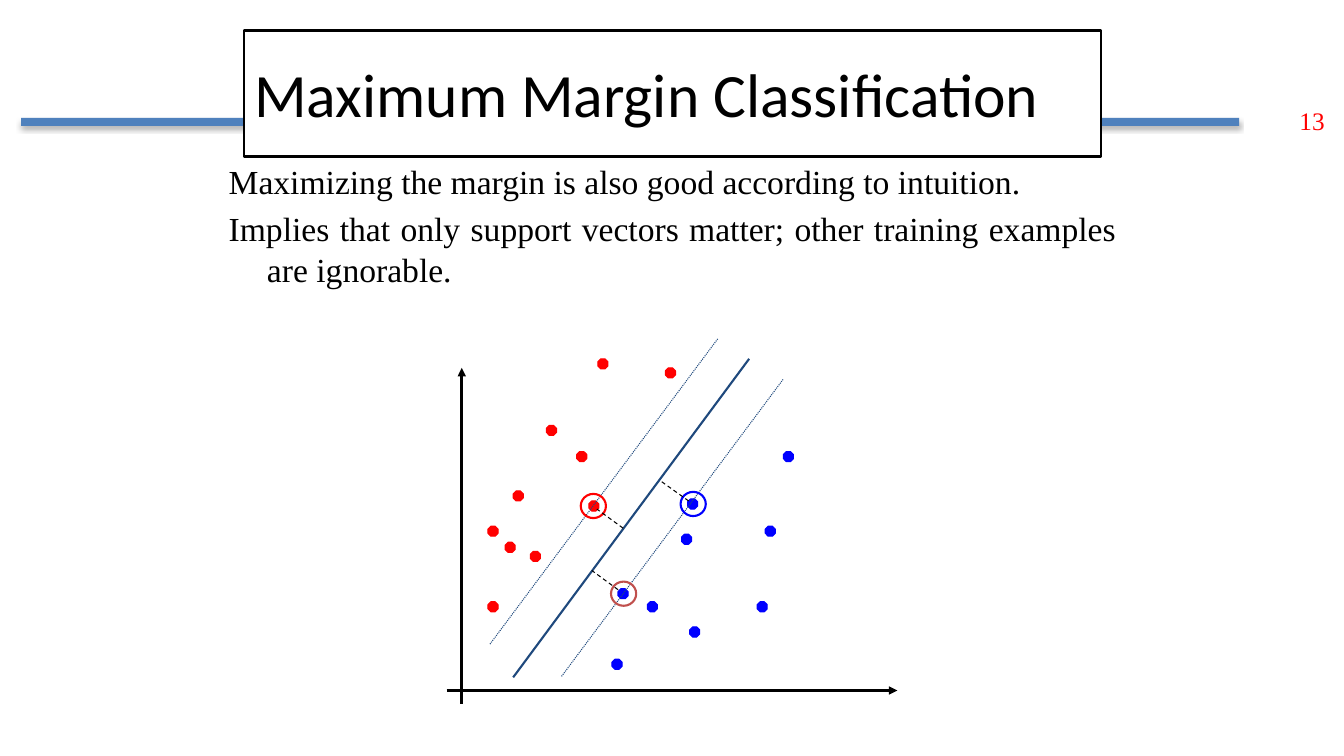
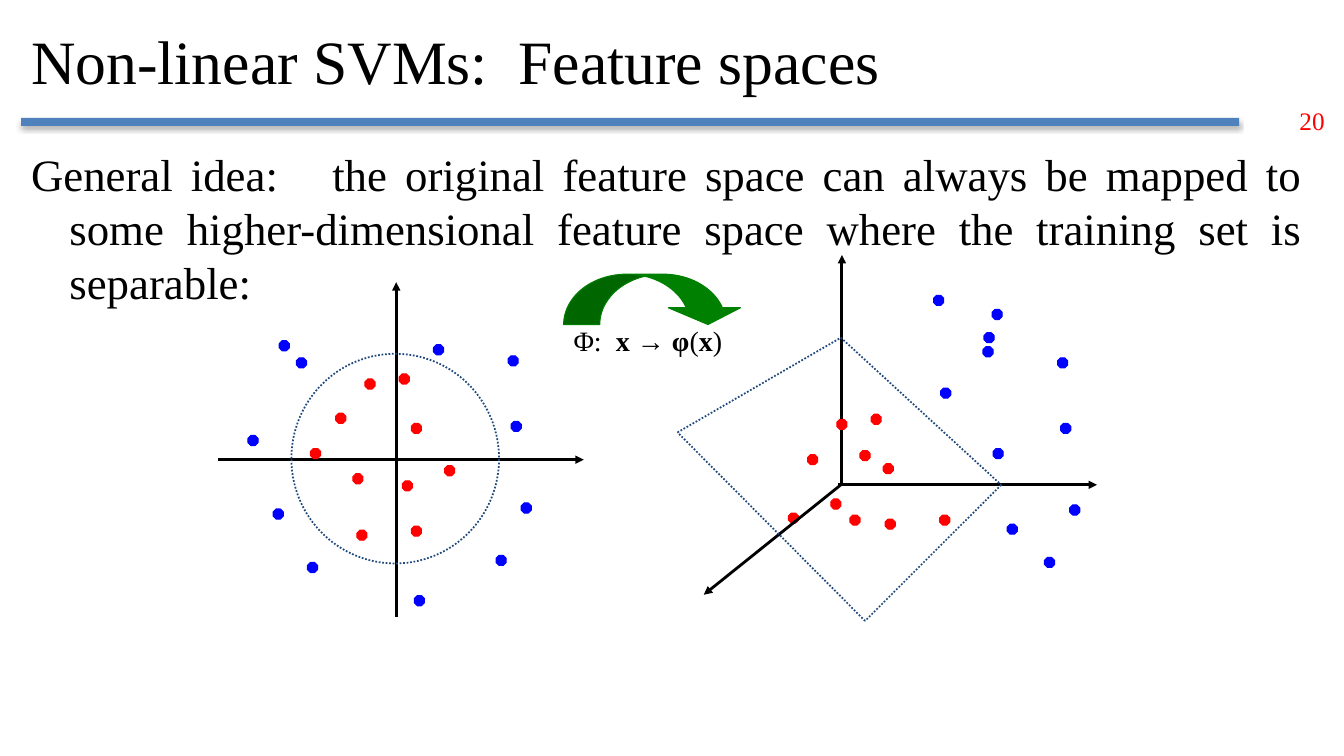
from dataclasses import dataclass
from typing import Any

from lxml import etree
from pptx import Presentation
from pptx.dml.color import RGBColor
from pptx.enum.dml import MSO_LINE
from pptx.enum.shapes import MSO_CONNECTOR, MSO_SHAPE
from pptx.enum.text import MSO_ANCHOR, MSO_AUTO_SIZE, PP_ALIGN
from pptx.oxml.ns import qn
from pptx.util import Inches, Pt

COLORS = {
    "white": "FFFFFF",
    "black": "000000",
    "band": "4F81BD",
    "red": "FF0000",
    "blue": "0000FF",
    "navy": "1F497D",
    "brick": "C0504D",
    "green": "008000",
}
SERIF, SANS = "Times New Roman", "Calibri"
DASH, DOTTED = MSO_LINE.DASH, MSO_LINE.ROUND_DOT
STRAIGHT = MSO_CONNECTOR.STRAIGHT
OVAL, OCTAGON = MSO_SHAPE.OVAL, MSO_SHAPE.OCTAGON
RECTANGLE, CURVED_ARROW = MSO_SHAPE.RECTANGLE, MSO_SHAPE.CURVED_DOWN_ARROW
MIDDLE, LEFT, JUSTIFY = MSO_ANCHOR.MIDDLE, PP_ALIGN.LEFT, PP_ALIGN.JUSTIFY
NO_FIT, GROW = MSO_AUTO_SIZE.NONE, MSO_AUTO_SIZE.SHAPE_TO_FIT_TEXT
TITLE_ONLY = 5
DOT = 0.1


def rgb(name):
    return RGBColor.from_string(COLORS[name])


def inches(*lengths):
    return [Inches(length) for length in lengths]


def add_run(paragraph, text, size, font=SERIF, color="black", bold=False):
    run = paragraph.add_run()
    run.text = text
    run.font.size = Pt(size)
    run.font.name = font
    run.font.bold = bold
    run.font.color.rgb = rgb(color)


def set_outline(line, color, width, dash=None):
    line.color.rgb = rgb(color)
    line.width = Pt(width)
    if dash is not None:
        line.dash_style = dash


def add_figure(slide, kind, box, fill=None, outline=None, width=0.75, dash=None):
    figure = slide.shapes.add_shape(kind, *inches(*box))
    figure.shadow.inherit = False
    if fill:
        figure.fill.solid()
        figure.fill.fore_color.rgb = rgb(fill)
    else:
        figure.fill.background()
    if outline:
        set_outline(figure.line, outline, width, dash)
    else:
        figure.line.fill.background()
    return figure


# Shared slide parts
def add_band(slide):
    band = add_figure(slide, RECTANGLE, (0.21, 1.17, 12.08, 0.08), "band")
    effects = band._element.spPr.find(qn("a:effectLst"))
    shadow = etree.SubElement(effects, qn("a:outerShdw"), blurRad=str(Pt(3.5)),
                              dist=str(Pt(2.2)), dir="5400000", rotWithShape="0")
    tint = etree.SubElement(shadow, qn("a:srgbClr"), val=COLORS["black"])
    etree.SubElement(tint, qn("a:alpha"), val="32000")
    # The band lies behind the title
    slide.shapes._spTree.insert(2, band._element)


def add_number(slide, number):
    frame = slide.shapes.add_textbox(*inches(12.79, 1, 0.5, 0.4)).text_frame
    frame.word_wrap = False
    frame.auto_size = GROW
    add_run(frame.paragraphs[0], number, 18, color="red")


def format_title(slide, text, box, font, outline=None):
    title = slide.shapes.title
    title.left, title.top, title.width, title.height = inches(*box)
    title.fill.solid()
    title.fill.fore_color.rgb = rgb("white")
    if outline:
        set_outline(title.line, outline, 2)
    frame = title.text_frame
    frame.auto_size = NO_FIT
    frame.vertical_anchor = MIDDLE
    frame.paragraphs[0].alignment = LEFT
    add_run(frame.paragraphs[0], text, 44, font)


def add_body(slide, box, texts, size):
    frame = slide.shapes.add_textbox(*inches(*box)).text_frame
    frame.word_wrap = True
    for index, text in enumerate(texts):
        paragraph = frame.add_paragraph() if index else frame.paragraphs[0]
        paragraph.alignment = JUSTIFY
        paragraph.space_before = Pt(size * 0.2)
        properties = paragraph._p.get_or_add_pPr()
        properties.set("marL", str(Inches(0.38)))
        properties.set("indent", str(Inches(-0.38)))
        add_run(paragraph, text, size)


def start_slide(deck, number, title, title_box, title_font, outline=None):
    slide = deck.slides.add_slide(deck.slide_layouts[TITLE_ONLY])
    format_title(slide, title, title_box, title_font, outline)
    add_band(slide)
    add_number(slide, number)
    return slide


# Plots: every position is measured from the plot's top left corner
@dataclass
class Plot:
    slide: Any
    left: float
    top: float

    def line(self, start, end, color="black", width=0.75, dash=None, arrow=False):
        ends = [self.left + start[0], self.top + start[1],
                self.left + end[0], self.top + end[1]]
        connector = self.slide.shapes.add_connector(STRAIGHT, *inches(*ends))
        set_outline(connector.line, color, width, dash)
        if arrow:
            etree.SubElement(connector.line._get_or_add_ln(), qn("a:tailEnd"),
                             type="triangle")
        etree.SubElement(connector._element.spPr, qn("a:effectLst"))

    def axis(self, start, end):
        self.line(start, end, width=2, arrow=True)

    def dots(self, color, corners):
        for x, y in corners:
            box = (self.left + x, self.top + y, DOT, DOT)
            add_figure(self.slide, OCTAGON, box, color, color).adjustments[0] = 0.293

    def ring(self, x, y, width, height, color, weight, dash=None):
        box = (self.left + x, self.top + y, width, height)
        add_figure(self.slide, OVAL, box, None, color, weight, dash)


def draw_margin_plot(slide, left, top):
    plot = Plot(slide, left, top)
    plot.axis((0.58, 3.98), (0.58, 0.65))
    plot.axis((0.43, 3.85), (4.9, 3.85))
    plot.dots("red", [(1.72, 1.48), (1.09, 1.87), (1.26, 2.47), (0.84, 2.97),
                      (1.42, 1.22), (0.84, 2.22), (1.01, 2.38), (1.84, 1.97),
                      (1.93, 0.56), (2.6, 0.65)])
    plot.dots("blue", [(2.82, 1.95), (2.42, 2.97), (3.51, 2.97), (2.07, 3.54),
                       (2.76, 2.3), (2.13, 2.84), (2.84, 3.22), (3.59, 2.22),
                       (3.77, 1.48)])
    # Separator and margins
    plot.line((1.09, 3.72), (3.43, 0.56), "navy", 1.5)
    for start, end in [((1.57, 3.71), (3.77, 0.76)), ((0.86, 3.39), (3.12, 0.36))]:
        plot.line(start, end, "navy", dash=DOTTED)
    # Support vectors and their distances
    for x, y, color in [(1.76, 1.9, "red"), (2.06, 2.77, "brick"),
                        (2.75, 1.88, "blue")]:
        plot.ring(x, y, 0.25, 0.24, color, 1.5)
    for start, end in [((2.83, 1.97), (2.55, 1.77)), ((2.13, 2.85), (1.87, 2.66)),
                       ((2.18, 2.24), (1.92, 2.05))]:
        plot.line(start, end, dash=DASH)


def draw_input_space(slide, left, top):
    plot = Plot(slide, left, top)
    plot.axis((1.93, 4.12), (1.93, 0.8))
    plot.axis((0.16, 2.56), (3.79, 2.56))
    plot.dots("red", [(1.96, 1.71), (1.33, 2.1), (1.5, 2.7), (2.08, 3.22),
                      (1.62, 1.76), (1.08, 2.45), (1.54, 3.26), (2.08, 2.2),
                      (2.41, 2.62), (1.99, 2.77)])
    plot.dots("blue", [(3.07, 2.18), (2.92, 3.51), (0.46, 2.32), (2.11, 3.91),
                       (3.17, 2.99), (1.05, 3.58), (0.71, 3.05), (0.77, 1.38),
                       (2.3, 1.42), (0.94, 1.55), (3.04, 1.53)])
    plot.ring(0.89, 1.51, 2.06, 2.08, "navy", 1.25, DOTTED)


def draw_feature_space(slide, left, top):
    plot = Plot(slide, left, top)
    plot.axis((2.35, 2.79), (2.35, 0.53))
    plot.axis((2.31, 2.81), (4.88, 2.81))
    plot.dots("red", [(2.64, 2.11), (2.01, 2.51), (2.43, 3.11), (3.32, 3.11),
                      (2.3, 2.16), (2.53, 2.47), (2.78, 3.15), (2.76, 2.6),
                      (2.24, 2.95), (1.82, 3.09)])
    plot.dots("blue", [(4.52, 2.2), (4.36, 3.53), (3.84, 1.07), (3.85, 2.45),
                       (4.61, 3.01), (3.33, 1.85), (3.99, 3.2), (3.76, 1.3),
                       (3.75, 1.44), (3.26, 0.93), (4.49, 1.55)])
    plot.axis((2.34, 2.81), (0.98, 3.9))
    # Separating plane
    plane = [(2.34, 1.35), (3.93, 2.81), (2.58, 4.16), (0.72, 2.29)]
    for start, end in zip(plane, plane[1:] + plane[:1]):
        plot.line(start, end, "navy", 1.25, DOTTED)


def draw_mapping(slide, left, top):
    arrow = add_figure(slide, CURVED_ARROW, (left, top, 1.79, 0.5), "green", "green")
    for index, value in enumerate((0.717, 1.433, 0.333)):
        arrow.adjustments[index] = value
    formula = slide.shapes.add_textbox(*inches(left, top + 0.44, 1.84, 0.43)).text_frame
    formula.word_wrap = True
    formula.auto_size = GROW
    for text, bold in [("Φ:  ", False), ("x → φ", True), ("(", False),
                       ("x", True), (")", False)]:
        add_run(formula.paragraphs[0], text, 20, bold=bold)


# Slides
def build_margin_slide(deck):
    slide = start_slide(deck, "13", "Maximum Margin Classification",
                        (2.42, 0.3, 8.5, 1.25), SANS, "black")
    add_body(slide, (2.17, 1.55, 9, 5.5), [
        "Maximizing the margin is also good according to intuition.",
        "Implies that only support vectors matter; other training examples "
        "are ignorable.",
    ], 24)
    draw_margin_plot(slide, 4, 3)


def build_feature_slide(deck):
    slide = start_slide(deck, "20", "Non-linear SVMs:  Feature spaces",
                        (0.21, 0.08, 10.94, 1.02), SERIF)
    add_body(slide, (0.21, 1.41, 12.81, 6.02), [
        "General idea:   the original feature space can always be mapped to some "
        "higher-dimensional feature space where the training set is separable:",
    ], 32)
    draw_input_space(slide, 2, 2)
    draw_feature_space(slide, 6, 2)
    draw_mapping(slide, 5.59, 2.72)


def main():
    deck = Presentation()
    deck.slide_width, deck.slide_height = inches(13.33, 7.5)
    build_margin_slide(deck)
    build_feature_slide(deck)
    deck.save("out.pptx")


if __name__ == "__main__":
    main()
